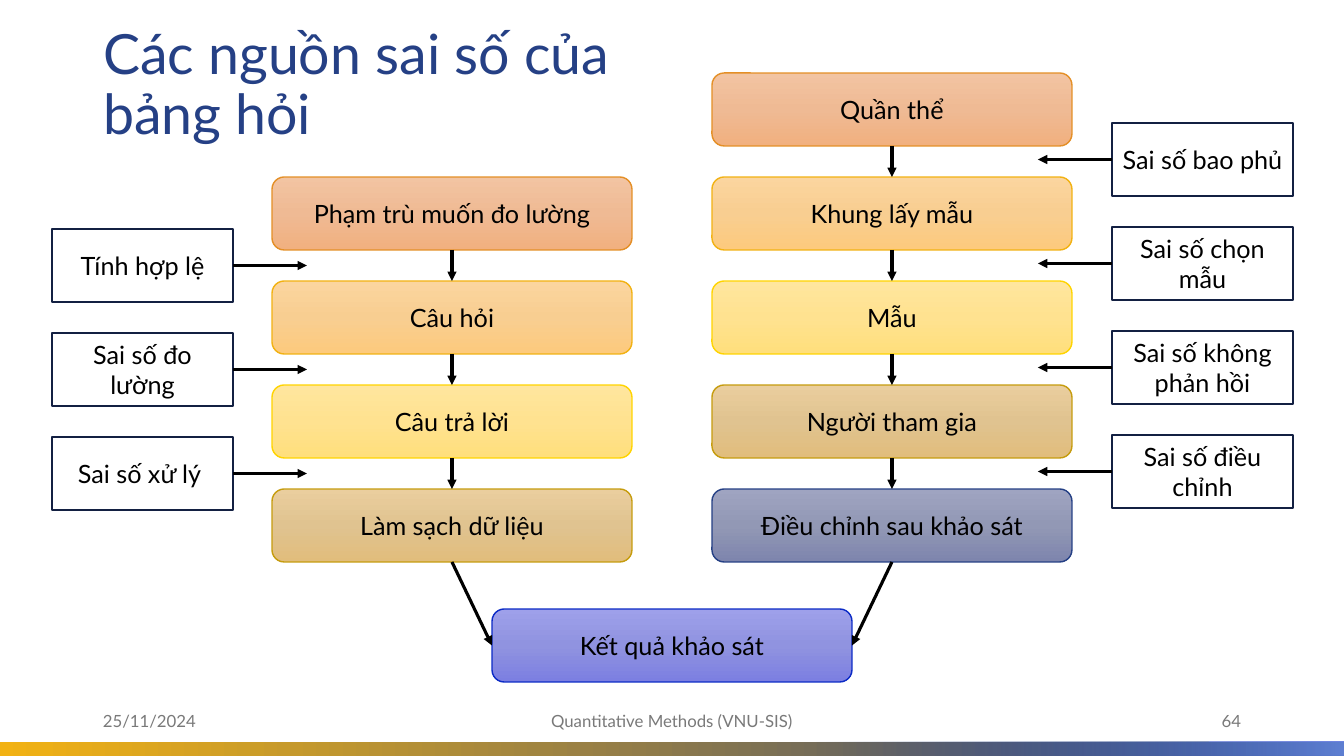
from dataclasses import dataclass

from lxml import etree
from pptx import Presentation
from pptx import util as u
from pptx.dml.color import RGBColor
from pptx.enum import shapes, text
from pptx.oxml.ns import qn

EMU_PER_PX = 914400 / 100.8
TOP, LEFT, BOTTOM, RIGHT = range(4)


@dataclass(frozen=True)
class Theme:
    font: str = "Lato"
    title_size: float = 39.6
    body_size: int = 18
    footer_size: int = 12
    navy: str = "254085"
    gold: str = "F2B213"
    sky: str = "5F80D3"
    black: str = "000000"
    grey: str = "797979"
    label_line: str = "132042"
    # Each box style: outline, then gradient from top to bottom
    orange_box: tuple = ("E48F26", "F2C4A2", "EFBA94", "F1B07F")
    amber_box: tuple = ("F2B213", "FBD59F", "F8CE91", "FDCA7D")
    yellow_box: tuple = ("FFD400", "FFE69E", "FFE290", "FFDF7C")
    brown_box: tuple = ("C69C0E", "EACE9E", "E0C390", "E1BD7C")
    navy_box: tuple = ("254085", "9FA4C1", "9298B5", "7E85AD")
    blue_box: tuple = ("0C2BC6", "9EA0EA", "9093E0", "7C7FE1")


THEME = Theme()
ALIGN = text.PP_ALIGN

STEP_WIDTH, BOX_HEIGHT, PITCH = 360, 73, 104
LABEL_WIDTH, LABEL_ARROW = 181, 74


def px(length):
    return u.Emu(round(length * EMU_PER_PX))


def rgb(color):
    return RGBColor.from_string(color)


def write(shape, words, size, color, align):
    frame = shape.text_frame
    frame.word_wrap = True
    frame.auto_size = text.MSO_AUTO_SIZE.NONE
    frame.vertical_anchor = text.MSO_ANCHOR.MIDDLE
    paragraph = frame.paragraphs[0]
    paragraph.alignment = align
    run = paragraph.add_run()
    run.text = words
    run.font.name = THEME.font
    run.font.size = u.Pt(size)
    run.font.color.rgb = rgb(color)
    return paragraph


def fill_gradient(shape, stops, angle):
    """Fill with (percent, colour, opacity percent) stops at a counter-clockwise angle."""
    shape.fill.gradient()
    shape.fill.gradient_angle = angle
    stop_list = shape._element.spPr.find(qn("a:gradFill")).find(qn("a:gsLst"))
    for old_stop in list(stop_list):
        stop_list.remove(old_stop)
    for percent, color, opacity in stops:
        stop = etree.SubElement(stop_list, qn("a:gs"), pos=str(percent * 1000))
        color_element = etree.SubElement(stop, qn("a:srgbClr"), val=color)
        if opacity < 100:
            etree.SubElement(color_element, qn("a:alpha"), val=str(opacity * 1000))


def add_box(slide, kind, left, top, width, height):
    shape = slide.shapes.add_shape(kind, px(left), px(top), px(width), px(height))
    shape.shadow.inherit = False
    return shape


def add_band(slide, left, top, width, height, stops):
    band = add_box(slide, shapes.MSO_SHAPE.RECTANGLE, left, top, width, height)
    band.line.fill.background()
    fill_gradient(band, stops, 0)


def add_step(slide, left, top, words, style):
    outline, *colors = style
    step = add_box(slide, shapes.MSO_SHAPE.ROUNDED_RECTANGLE, left, top, STEP_WIDTH, BOX_HEIGHT)
    fill_gradient(step, [(50 * i, color, 100) for i, color in enumerate(colors)], 270)
    step.line.color.rgb = rgb(outline)
    step.line.width = u.Pt(1)
    write(step, words, THEME.body_size, THEME.black, ALIGN.CENTER)
    return step


def add_arrow(slide, start, start_side, end=None, end_side=None, reach=0):
    """Join two boxes, or point sideways from a box by reach when there is no end box."""
    y = start.top + start.height // 2
    x = start.left + (start.width if start_side == RIGHT else 0)
    arrow = slide.shapes.add_connector(shapes.MSO_CONNECTOR.STRAIGHT, x, y, x + px(reach), y)
    arrow.begin_connect(start, start_side)
    if end is not None:
        arrow.end_connect(end, end_side)
    arrow.line.color.rgb = rgb(THEME.black)
    arrow.line.width = u.Pt(2.25)
    etree.SubElement(arrow.line._get_or_add_ln(), qn("a:tailEnd"), type="triangle")
    etree.SubElement(arrow._element.spPr, qn("a:effectLst"))


def add_step_column(slide, left, top, steps):
    """Stack steps joined by arrows and return the last one."""
    previous = None
    for row, (words, style) in enumerate(steps):
        step = add_step(slide, left, top + row * PITCH, words, style)
        if previous is not None:
            add_arrow(slide, previous, BOTTOM, step, TOP)
        previous = step
    return previous


def add_error_labels(slide, left, top, labels, side):
    reach = LABEL_ARROW if side == RIGHT else -LABEL_ARROW
    for row, words in enumerate(labels):
        label = add_box(slide, shapes.MSO_SHAPE.RECTANGLE, left, top + row * PITCH,
                        LABEL_WIDTH, BOX_HEIGHT)
        label.fill.background()
        label.line.color.rgb = rgb(THEME.label_line)
        label.line.width = u.Pt(1.5)
        write(label, words, THEME.body_size, THEME.black, ALIGN.CENTER)
        add_arrow(slide, label, side, reach=reach)


def add_title(slide, words):
    title = slide.shapes.title
    title.left, title.top, title.width, title.height = px(93), px(17), px(620), px(139)
    paragraph = write(title, words, THEME.title_size, THEME.navy, ALIGN.LEFT)
    paragraph.line_spacing = 0.9


def add_footer(slide, left, width, words, align):
    box = slide.shapes.add_textbox(px(left), px(701), px(width), px(40))
    write(box, words, THEME.footer_size, THEME.grey, align)


def main():
    presentation = Presentation()
    presentation.slide_width, presentation.slide_height = px(1344), px(756)
    slide = presentation.slides.add_slide(presentation.slide_layouts[5])

    add_band(slide, 0, 742, 1344, 14, [(0, THEME.gold, 100), (100, THEME.navy, 100)])
    add_band(slide, 691, 742, 653, 14, [(19, THEME.navy, 0), (100, THEME.sky, 100)])
    add_title(slide, "Các nguồn sai số của bảng hỏi")

    cleaning = add_step_column(slide, 272, 177, [
        ("Phạm trù muốn đo lường", THEME.orange_box),
        ("Câu hỏi", THEME.amber_box),
        ("Câu trả lời", THEME.yellow_box),
        ("Làm sạch dữ liệu", THEME.brown_box),
    ])
    adjustment = add_step_column(slide, 712, 73, [
        ("Quần thể", THEME.orange_box),
        ("Khung lấy mẫu", THEME.amber_box),
        ("Mẫu", THEME.yellow_box),
        ("Người tham gia", THEME.brown_box),
        ("Điều chỉnh sau khảo sát", THEME.navy_box),
    ])
    result = add_step(slide, 492, 609, "Kết quả khảo sát", THEME.blue_box)
    add_arrow(slide, cleaning, BOTTOM, result, LEFT)
    add_arrow(slide, adjustment, BOTTOM, result, RIGHT)

    add_error_labels(slide, 52, 229, ["Tính hợp lệ", "Sai số đo lường", "Sai số xử lý "], RIGHT)
    add_error_labels(slide, 1112, 123, [
        "Sai số bao phủ", "Sai số chọn mẫu", "Sai số không phản hồi", "Sai số điều chỉnh",
    ], LEFT)

    add_footer(slide, 93, 302, "25/11/2024", ALIGN.LEFT)
    add_footer(slide, 445, 454, "Quantitative Methods (VNU-SIS)", ALIGN.CENTER)
    add_footer(slide, 949, 302, "64", ALIGN.RIGHT)

    presentation.save("out.pptx")


if __name__ == "__main__":
    main()
